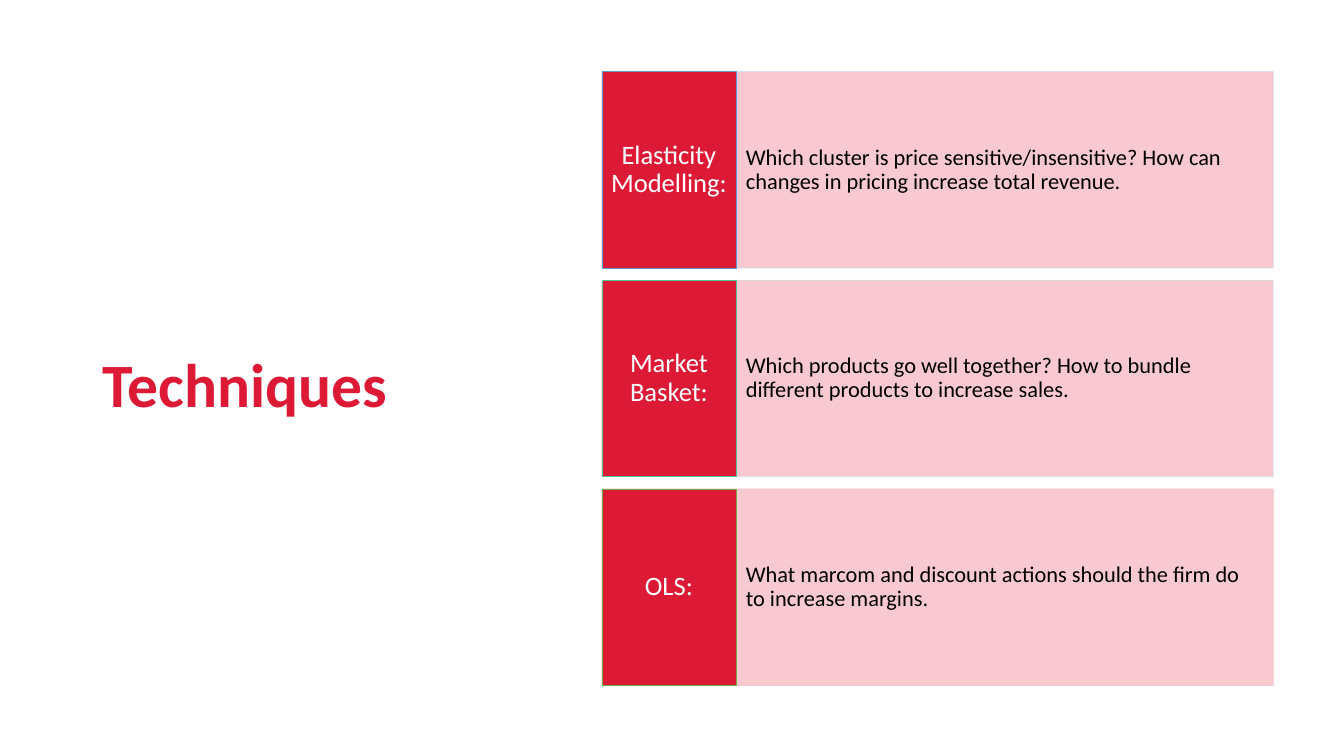
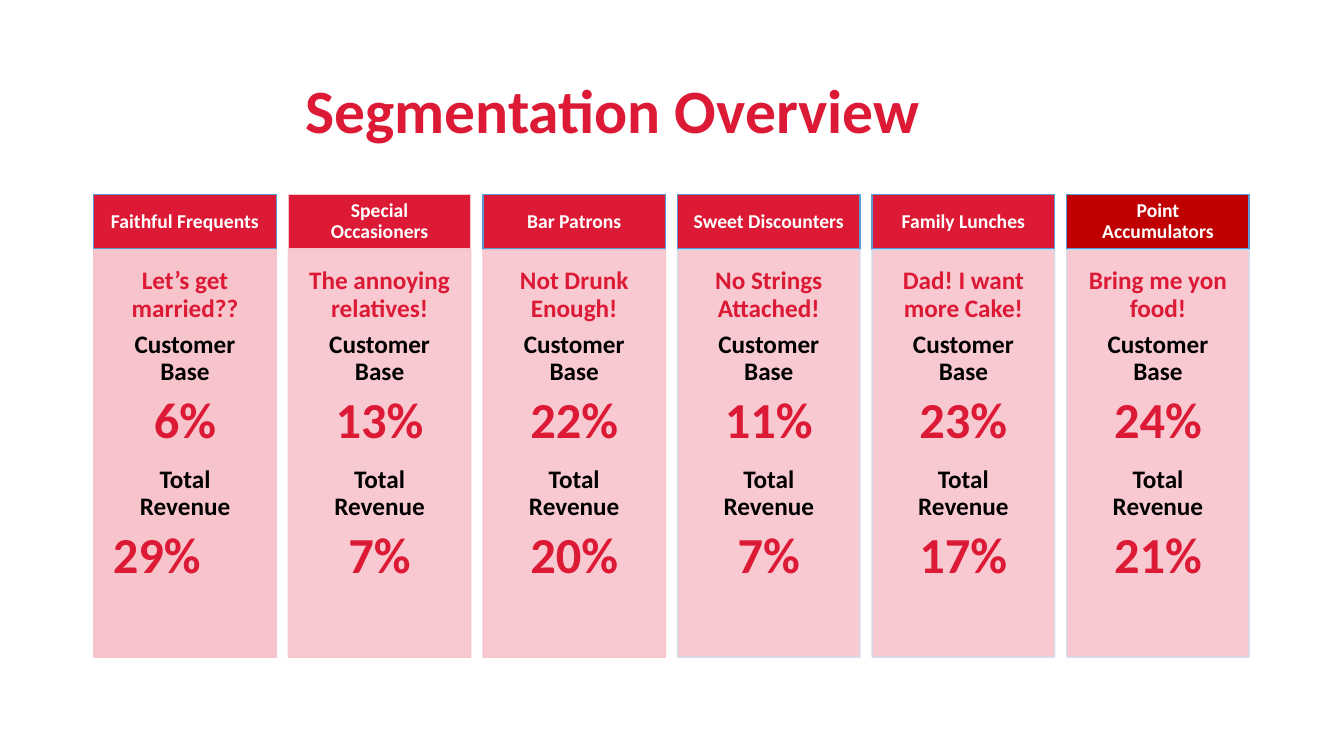
"""Build two slides: analysis techniques and a customer segmentation overview."""
from lxml import etree
from pptx import Presentation
from pptx import util as u
from pptx.dml.color import RGBColor
from pptx.enum import shapes, text
from pptx.oxml.ns import qn

COLORS = {"red": "DC1A35", "dark": "C00000", "pink": "F8C4CB", "white": "FFFFFF",
          "black": "000000", "blue": "5B9BD5", "pale_blue": "D2DEEF",
          "teal": "4DC58D", "pale_teal": "D0EAE1", "green": "70AD47"}
FONT = "Calibri"
CENTER = text.PP_ALIGN.CENTER
LEFT = text.PP_ALIGN.LEFT
MIDDLE = text.MSO_ANCHOR.MIDDLE
TOP = text.MSO_ANCHOR.TOP


def write(sp, lines, align=LEFT, anchor=MIDDLE, inset=(0.1, 0.05), bold=False):
    """Fill a shape with (words, size, colour) paragraphs."""
    tf = sp.text_frame
    tf.word_wrap = True
    tf.vertical_anchor = anchor
    tf.margin_left = tf.margin_right = u.Inches(inset[0])
    tf.margin_top = tf.margin_bottom = u.Inches(inset[1])
    for i, (words, size, color) in enumerate(lines):
        p = tf.add_paragraph() if i else tf.paragraphs[0]
        p.text = words
        p.alignment = align
        p.line_spacing = 0.9
        p.space_after = u.Pt(size * 0.35)
        p.font.name = FONT
        p.font.size = u.Pt(size)
        p.font.bold = bold
        p.font.color.rgb = RGBColor.from_string(COLORS[color])
    return tf


def add_panel(s, box, fill, line, width, alpha=None):
    """Draw a filled rectangle, optionally translucent."""
    sp = s.shapes.add_shape(shapes.MSO_SHAPE.RECTANGLE, *map(u.Inches, box))
    sp.shadow.inherit = False
    sp.fill.solid()
    sp.fill.fore_color.rgb = RGBColor.from_string(COLORS[fill])
    sp.line.color.rgb = RGBColor.from_string(COLORS[line])
    sp.line.width = u.Pt(width)
    if alpha:
        for color in list(sp._element.spPr.iter(qn("a:srgbClr"))):
            etree.SubElement(color, qn("a:alpha")).set("val", str(alpha * 1000))
    return sp


prs = Presentation()
prs.slide_width = u.Inches(13.33)
prs.slide_height = u.Inches(7.5)

slides = []
for title, box in [("Techniques", (0.92, 0.89, 3.65, 5.91)),
                   ("Segmentation Overview", (2.93, 0.4, 9.5, 1.45))]:
    s = prs.slides.add_slide(prs.slide_layouts[6])
    sp = s.shapes.add_textbox(*map(u.Inches, box))
    tf = write(sp, [(title, 44, "red")], bold=True)
    tf.paragraphs[0].space_after = u.Pt(0)
    slides.append(s)
techniques, segmentation = slides

rows = [
    ("Elasticity Modelling:",
     "Which cluster is price sensitive/insensitive? How can changes in pricing "
     "increase total revenue.", "blue", "pale_blue"),
    ("Market Basket:",
     "Which products go well together? How to bundle different products to "
     "increase sales.", "teal", "pale_teal"),
    ("OLS:",
     "What marcom and discount actions should the firm do to increase margins.",
     "green", "pink"),
]
row_height, row_gap = 1.95, 0.12
for i, (name, question, name_line, question_line) in enumerate(rows):
    top = 0.71 + i * (row_height + row_gap)
    sp = add_panel(techniques, (7.3, top, 5.33, row_height), "pink", question_line, 0.5, 90)
    write(sp, [(question, 16, "black")], inset=(0.1, 0.5))
    sp = add_panel(techniques, (5.97, top, 1.33, row_height), "red", name_line, 0.5)
    write(sp, [(name, 19, "white")], CENTER, inset=(0.07, 0.19))

segments = [
    ("Faithful Frequents", "Let’s get married??", "6%", "29%", "red", "blue", "pink", None),
    ("Special Occasioners", "The annoying relatives!", "13%", "7%", "red", "pink", "pink", 90),
    ("Bar Patrons", "Not Drunk Enough!", "22%", "20%", "red", "blue", "pink", 90),
    ("Sweet Discounters", "No Strings Attached!", "11%", "7%", "red", "blue", "pale_blue", 90),
    ("Family Lunches", "Dad! I want more Cake!", "23%", "17%", "red", "blue", "pale_blue", 90),
    ("Point Accumulators", "Bring me yon food!", "24%", "21%", "dark", "blue", "pale_blue", 90),
]
column_width, column_gap = 1.81, 0.12
bodies = []
for i, (name, motto, base, revenue, fill, head_line, body_line, alpha) in enumerate(segments):
    left = 0.93 + i * (column_width + column_gap)
    sp = add_panel(segmentation, (left, 1.93, column_width, 0.54), fill, head_line, 1)
    write(sp, [(name, 14, "white")], CENTER, inset=(0.14, 0.14), bold=True)
    sp = add_panel(segmentation, (left, 2.48, column_width, 4.04), "pink", body_line, 1, alpha)
    lines = [(motto, 18, "red"), ("Customer Base", 18, "black"), (base, 36, "red"),
             ("Total Revenue", 18, "black"), (revenue, 36, "red")]
    bodies.append(write(sp, lines, CENTER, TOP, (0.18, 0.18), True))

faithful_revenue = bodies[0].paragraphs[-1]
faithful_revenue._p.get_or_add_pPr().set("marR", str(u.Inches(0.56)))

prs.save("out.pptx")
